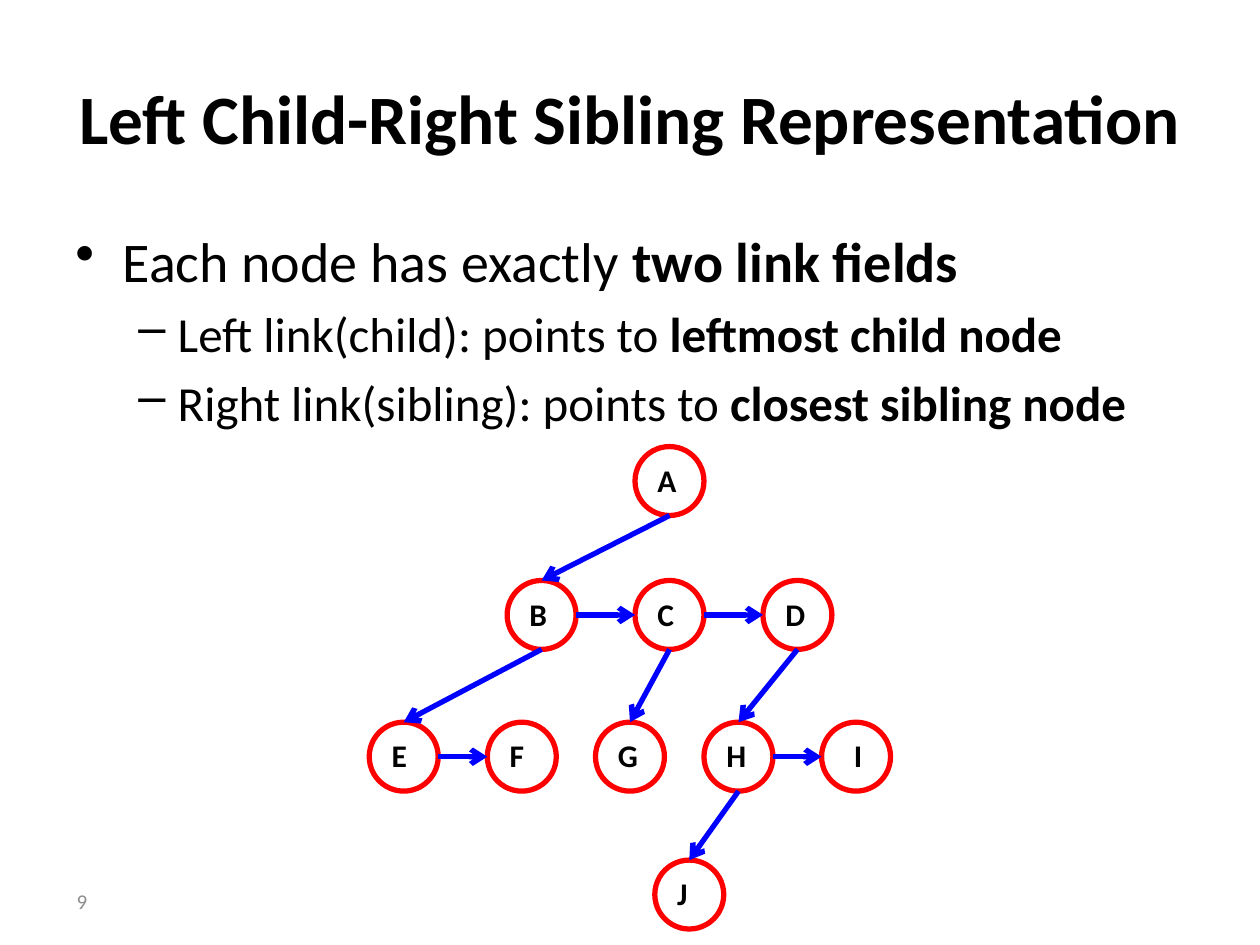
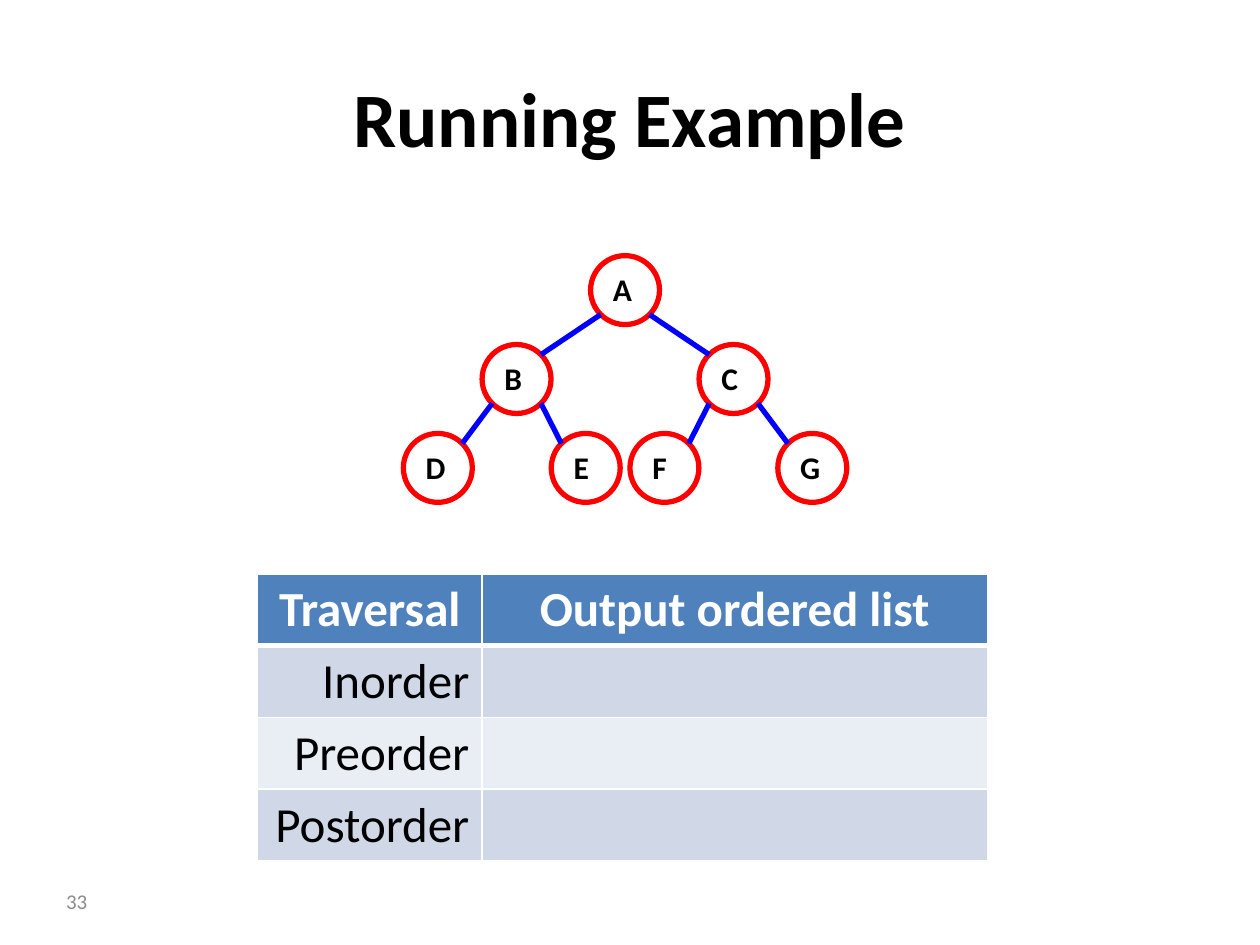
from dataclasses import dataclass
from math import sqrt

from lxml.etree import SubElement
from pptx import Presentation
from pptx.dml.color import RGBColor
from pptx.enum.shapes import MSO_CONNECTOR, MSO_SHAPE
from pptx.enum.text import MSO_ANCHOR, PP_ALIGN
from pptx.oxml.ns import qn
from pptx.util import Pt

FONT = "Calibri"
COLORS = {
    "text": "000000",
    "page": "8C8C8C",
    "node": "FF0000",
    "link": "0000FF",
    "header": "4F81BD",
    "odd_row": "D0D8E8",
    "even_row": "E9EDF4",
    "white": "FFFFFF",
}
RADIUS = 19.7
DIAGONAL = 1 / sqrt(2)
SITES = {
    "top": (0, -1),
    "bottom": (0, 1),
    "left": (-1, 0),
    "right": (1, 0),
    "top left": (-DIAGONAL, -DIAGONAL),
    "top right": (DIAGONAL, -DIAGONAL),
    "bottom left": (-DIAGONAL, DIAGONAL),
    "bottom right": (DIAGONAL, DIAGONAL),
}


@dataclass(frozen=True)
class Node:
    label: str
    x: float
    y: float
    label_shift: float = 0

    def site(self, side: str) -> tuple[Pt, Pt]:
        dx, dy = SITES[side]
        return Pt(self.x + RADIUS * dx), Pt(self.y + RADIUS * dy)


@dataclass(frozen=True)
class Link:
    start: str
    start_side: str
    end: str
    end_side: str


@dataclass(frozen=True)
class Bullet:
    plain: str
    bold: str
    level: int


@dataclass(frozen=True)
class BulletStyle:
    symbol: str
    size: float
    margin: float
    hanging: float


BULLET_STYLES = [BulletStyle("•", 32, 27, 27), BulletStyle("–", 28, 58.5, 22.5)]
BULLETS = [
    Bullet("Each node has exactly ", "two link fields", 0),
    Bullet("Left link(child): points to ", "leftmost child node", 1),
    Bullet("Right link(sibling): points to ", "closest sibling node", 1),
]

SIBLING_X, SIBLING_STEP = 382.6, 73.1
ROOT_Y, CHILD_Y, GRANDCHILD_Y, LEAF_Y = 274.9, 351.4, 432.4, 511.2
SIBLING_NODES = [
    Node("A", SIBLING_X, ROOT_Y),
    *(Node(label, SIBLING_X + step * SIBLING_STEP, CHILD_Y)
      for label, step in zip("BCD", (-1, 0, 1))),
    Node("E", 230.7, GRANDCHILD_Y),
    Node("F", 298.2, GRANDCHILD_Y),
    Node("G", 360, GRANDCHILD_Y),
    Node("H", 422, GRANDCHILD_Y),
    Node("I", 489.2, GRANDCHILD_Y, 5.6),
    Node("J", 393.9, LEAF_Y),
]
CHILD_LINKS = [Link(parent, "bottom", child, "top")
               for parent, child in ("AB", "BE", "CG", "DH", "HJ")]
SIBLING_LINKS = [Link(node, "right", sibling, "left")
                 for node, sibling in ("BC", "CD", "EF", "HI")]

BINARY_X, BINARY_Y, BINARY_STEP = 357.2, 165.8, 50.8
BINARY_NODES = [
    Node(label, BINARY_X + offset, BINARY_Y + depth * BINARY_STEP)
    for label, offset, depth in (
        ("A", 0, 0), ("B", -62, 1), ("C", 62, 1),
        ("D", -107, 2), ("E", -22.5, 2), ("F", 22.5, 2), ("G", 107, 2),
    )
]
BINARY_LINKS = [
    link
    for parent, left, right in ("ABC", "BDE", "CFG")
    for link in (Link(parent, "bottom left", left, "top right"),
                 Link(parent, "bottom right", right, "top left"))
]

TRAVERSALS = ["Inorder", "Preorder", "Postorder"]


def rgb(name: str) -> RGBColor:
    return RGBColor.from_string(COLORS[name])


def style(run, size: float, color: str = "text", bold: bool = False) -> None:
    run.font.name = FONT
    run.font.size = Pt(size)
    run.font.bold = bold
    run.font.color.rgb = rgb(color)


def add_box(slide, left: float, top: float, width: float, height: float):
    frame = slide.shapes.add_textbox(Pt(left), Pt(top), Pt(width), Pt(height)).text_frame
    frame.word_wrap = True
    return frame


def add_titled_slide(deck, heading: str, size: float, page: str):
    slide = deck.slides.add_slide(deck.slide_layouts[5])
    title = slide.shapes.title
    title.left, title.top, title.width, title.height = Pt(36), Pt(21.6), Pt(648), Pt(90)
    title.text_frame.text = heading
    title.text_frame.vertical_anchor = MSO_ANCHOR.MIDDLE
    title.text_frame.paragraphs[0].alignment = PP_ALIGN.CENTER
    style(title.text_frame.paragraphs[0].runs[0], size, bold=True)

    number = add_box(slide, 0, 500.4, 57, 28.8)
    number.text = page
    number.vertical_anchor = MSO_ANCHOR.MIDDLE
    number.paragraphs[0].alignment = PP_ALIGN.RIGHT
    style(number.paragraphs[0].runs[0], 12, "page")
    return slide


def add_bullets(slide, bullets: list[Bullet]) -> None:
    frame = add_box(slide, 36, 126, 648, 356.4)
    for index, bullet in enumerate(bullets):
        look = BULLET_STYLES[bullet.level]
        paragraph = frame.add_paragraph() if index else frame.paragraphs[0]
        paragraph.text = bullet.plain
        paragraph.level = bullet.level
        if index:
            paragraph.space_before = Pt(look.size * 0.2)
        properties = paragraph._p.get_or_add_pPr()
        properties.set("marL", str(Pt(look.margin)))
        properties.set("indent", str(-Pt(look.hanging)))
        tint = SubElement(properties, qn("a:buClr"))
        SubElement(tint, qn("a:srgbClr"), val=COLORS["text"])
        SubElement(properties, qn("a:buChar"), char=look.symbol)
        emphasis = paragraph.add_run()
        emphasis.text = bullet.bold
        style(paragraph.runs[0], look.size)
        style(emphasis, look.size, bold=True)


def add_link(slide, start: tuple[Pt, Pt], end: tuple[Pt, Pt], arrow: bool) -> None:
    link = slide.shapes.add_connector(MSO_CONNECTOR.STRAIGHT, *start, *end)
    link.line.color.rgb = rgb("link")
    link.line.width = Pt(3)
    properties = link._element.spPr
    if arrow:
        SubElement(properties.find(qn("a:ln")), qn("a:tailEnd"), type="arrow")
    SubElement(properties, qn("a:effectLst"))


def add_tree(slide, nodes: list[Node], links: list[Link], arrows: bool) -> None:
    by_label = {node.label: node for node in nodes}
    for node in nodes:
        circle = slide.shapes.add_shape(
            MSO_SHAPE.OVAL, Pt(node.x - RADIUS), Pt(node.y - RADIUS),
            Pt(2 * RADIUS), Pt(2 * RADIUS))
        circle.shadow.inherit = False
        circle.fill.background()
        circle.line.color.rgb = rgb("node")
        circle.line.width = Pt(3)
    for link in links:
        add_link(slide, by_label[link.start].site(link.start_side),
                 by_label[link.end].site(link.end_side), arrows)
    for node in nodes:
        label = add_box(slide, node.x - 14 + node.label_shift, node.y - 22.4, 28, 47.5)
        label.margin_top = label.margin_bottom = Pt(10.8)
        label.text = node.label
        style(label.paragraphs[0].runs[0], 18, bold=True)


def format_cell(cell, fill: str, bottom: float) -> None:
    properties = cell._tc.get_or_add_tcPr()
    for side, width in (("L", 1), ("R", 1), ("T", 1), ("B", bottom)):
        border = SubElement(properties, qn(f"a:ln{side}"), w=str(Pt(width)))
        paint = SubElement(border, qn("a:solidFill"))
        SubElement(paint, qn("a:srgbClr"), val=COLORS["white"])
    cell.fill.solid()
    cell.fill.fore_color.rgb = rgb(fill)
    cell.vertical_anchor = MSO_ANCHOR.MIDDLE


def write_cell(cell, words: str, align: PP_ALIGN, color: str, bold: bool) -> None:
    cell.text_frame.text = words
    cell.text_frame.paragraphs[0].alignment = align
    style(cell.text_frame.paragraphs[0].runs[0], 28, color, bold)


def add_traversal_table(slide) -> None:
    row_height, widths = 41, (128.2, 288.8)
    row_count = len(TRAVERSALS) + 1
    table = slide.shapes.add_table(
        row_count, len(widths), Pt(147.2), Pt(328),
        Pt(sum(widths)), Pt(row_height * row_count)).table
    for column, width in zip(table.columns, widths):
        column.width = Pt(width)
    for index, row in enumerate(table.rows):
        row.height = Pt(row_height)
        fill = "header" if index == 0 else "odd_row" if index % 2 else "even_row"
        for cell in row.cells:
            format_cell(cell, fill, 1 if index else 3)
    for column, heading in enumerate(("Traversal", "Output ordered list")):
        write_cell(table.cell(0, column), heading, PP_ALIGN.CENTER, "white", True)
    for row, traversal in enumerate(TRAVERSALS, 1):
        write_cell(table.cell(row, 0), traversal, PP_ALIGN.RIGHT, "text", False)


def main() -> None:
    deck = Presentation()
    deck.slide_width, deck.slide_height = Pt(720), Pt(540)

    representation = add_titled_slide(
        deck, "Left Child-Right Sibling Representation", 39.6, "9")
    add_bullets(representation, BULLETS)
    add_tree(representation, SIBLING_NODES, CHILD_LINKS + SIBLING_LINKS, True)

    example = add_titled_slide(deck, "Running Example", 44, "33")
    add_tree(example, BINARY_NODES, BINARY_LINKS, False)
    add_traversal_table(example)

    deck.save("out.pptx")


if __name__ == "__main__":
    main()
